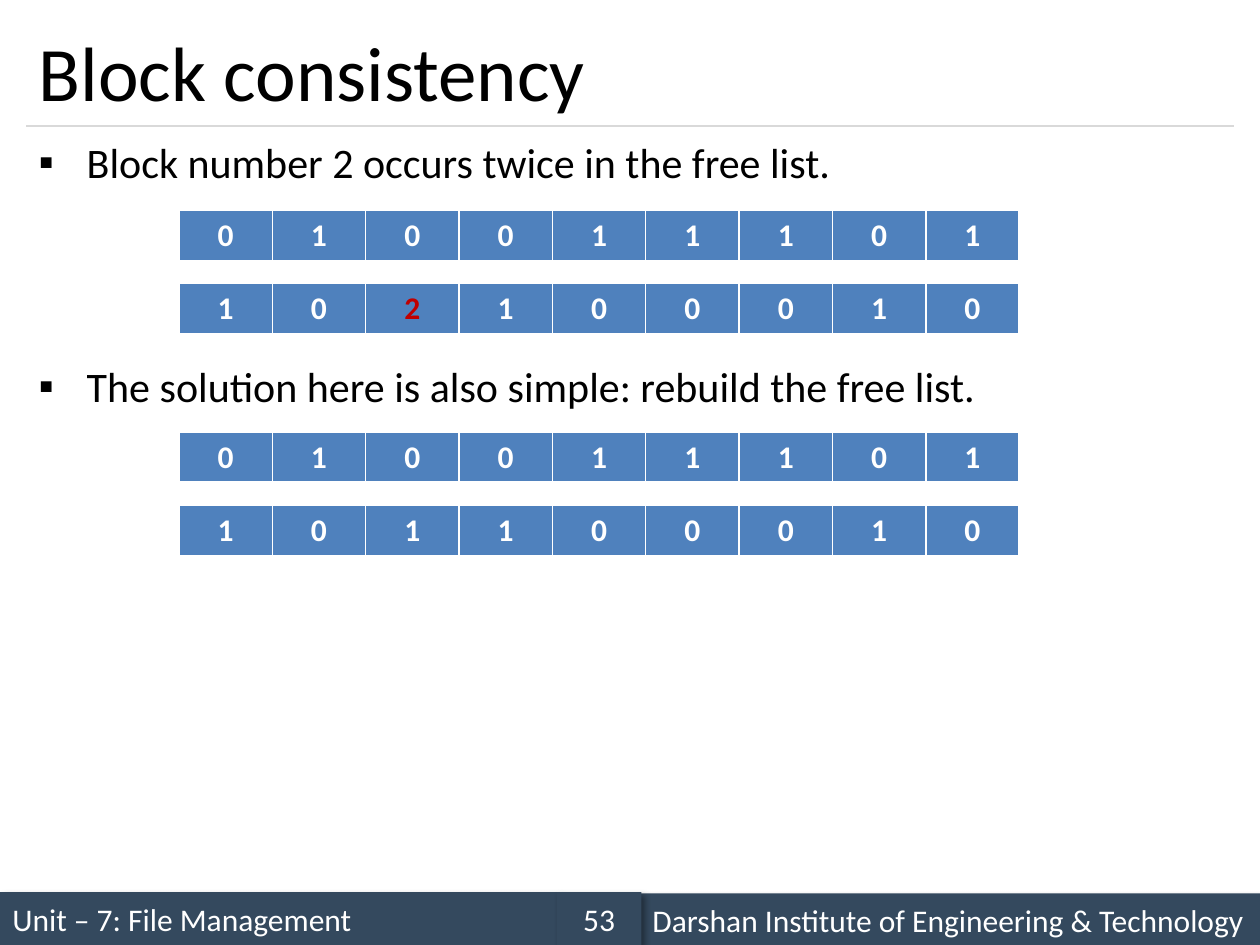
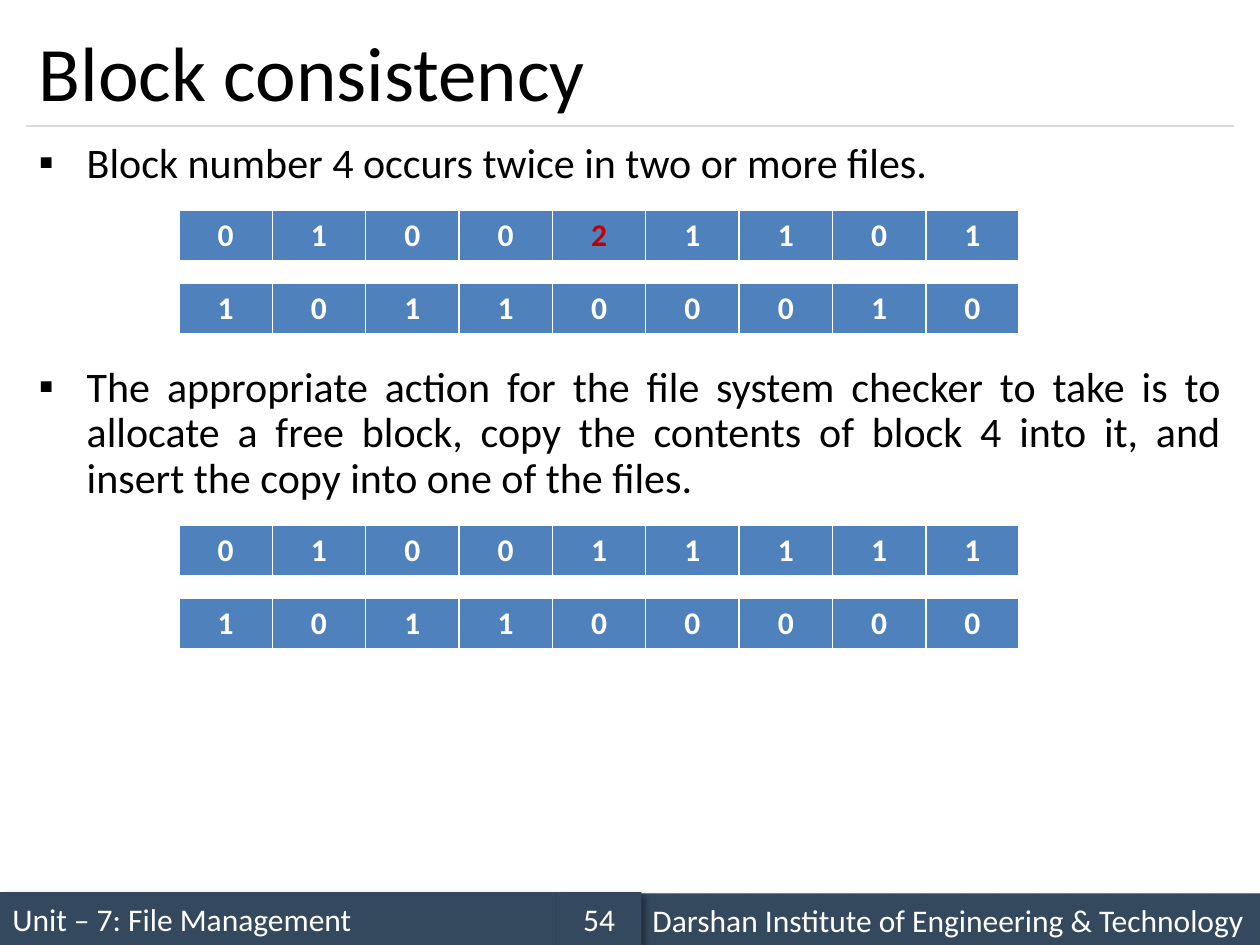
from dataclasses import dataclass

from lxml import etree
from pptx import Presentation
from pptx import util as u
from pptx.dml.color import RGBColor
from pptx.enum import shapes, text
from pptx.oxml import ns

COLORS = {
    "band": "34495E",
    "rule": "D9D9D9",
    "cell": "4F81BD",
    "white": "FFFFFF",
    "black": "000000",
    "error": "C00000",
}
FONT = "Calibri"
TITLE = "Block consistency"
MARGIN, CONTENT_WIDTH = 0.21, 9.58
TABLE_LEFT, TABLE_WIDTH, ROW_HEIGHT, TABLE_PITCH = 1.42, 6.67, 0.41, 0.58
BULLET_INDENT = u.Inches(0.38)


@dataclass
class FooterPart:
    left: float
    top: float
    width: float
    label: str
    align: text.PP_ALIGN = text.PP_ALIGN.LEFT


@dataclass
class BlockTables:
    """Two one-row tables: blocks in use above free blocks."""
    top: float
    in_use: str
    free: str


@dataclass
class ConsistencySlide:
    number: int
    bullets: tuple[str, str]
    tables: tuple[BlockTables, BlockTables]


SLIDES = [
    ConsistencySlide(
        53,
        ("Block number 2 occurs twice in the free list.",
         "The solution here is also simple: rebuild the free list."),
        (BlockTables(1.67, "010011101", "102100010"),
         BlockTables(3.43, "010011101", "101100010")),
    ),
    ConsistencySlide(
        54,
        ("Block number 4 occurs twice in two or more files.",
         "The appropriate action for the file system checker to take is to "
         "allocate a free block, copy the contents of block 4 into it, and "
         "insert the copy into one of the files."),
        (BlockTables(1.67, "010021101", "101100010"),
         BlockTables(4.17, "010011111", "101100000")),
    ),
]


def color(name: str) -> RGBColor:
    return RGBColor.from_string(COLORS[name])


def add_element(parent, tag: str, **attributes):
    element = etree.SubElement(parent, ns.qn(tag))
    for name, value in attributes.items():
        element.set(name, str(value))
    return element


def style_runs(paragraph, size: int, color_name: str, bold: bool = False) -> None:
    for run in paragraph.runs:
        run.font.name = FONT
        run.font.size = u.Pt(size)
        run.font.bold = bold
        run.font.color.rgb = color(color_name)


def add_text_box(slide, top: float, height: float):
    box = slide.shapes.add_textbox(u.Inches(MARGIN), u.Inches(top),
                                   u.Inches(CONTENT_WIDTH), u.Inches(height))
    box.text_frame.word_wrap = True
    return box.text_frame


# Footer band, title and rule
def add_shadow(shape) -> None:
    shape.shadow.inherit = False
    effects = shape._element.spPr.find(ns.qn("a:effectLst"))
    shadow = add_element(effects, "a:outerShdw", blurRad=u.Pt(4), dist=u.Pt(3),
                         dir=45 * 60000, algn="tl", rotWithShape=0)
    tint = add_element(shadow, "a:srgbClr", val=COLORS["black"])
    add_element(tint, "a:alpha", val=40000)


def add_footer_part(slide, part: FooterPart) -> None:
    shape = slide.shapes.add_shape(
        shapes.MSO_SHAPE.RECTANGLE, u.Inches(part.left), u.Inches(part.top),
        u.Inches(part.width), u.Inches(0.42))
    shape.fill.solid()
    shape.fill.fore_color.rgb = color("band")
    shape.line.fill.background()
    add_shadow(shape)
    frame = shape.text_frame
    frame.word_wrap = True
    frame.vertical_anchor = text.MSO_ANCHOR.MIDDLE
    frame.text = part.label
    frame.paragraphs[0].alignment = part.align
    style_runs(frame.paragraphs[0], 18, "white")


def add_rule(slide) -> None:
    rule = slide.shapes.add_connector(
        shapes.MSO_CONNECTOR.STRAIGHT, u.Inches(MARGIN), u.Inches(1),
        u.Inches(MARGIN + CONTENT_WIDTH), u.Inches(1))
    rule.line.color.rgb = color("rule")
    rule.line.width = u.Pt(0.75)
    add_element(rule._element.spPr, "a:effectLst")


def add_frame(slide, number: int) -> None:
    add_footer_part(slide, FooterPart(0, 7.08, 4.42, "Unit – 7: File Management"))
    add_rule(slide)
    add_footer_part(slide, FooterPart(
        5.08, 7.09, 4.92, "Darshan Institute of Engineering & Technology"))
    add_footer_part(slide, FooterPart(
        4.42, 7.08, 0.67, str(number), text.PP_ALIGN.CENTER))
    frame = add_text_box(slide, 0.12, 0.88)
    frame.vertical_anchor = text.MSO_ANCHOR.MIDDLE
    frame.text = TITLE
    style_runs(frame.paragraphs[0], 44, "black")


# Bullets
def add_bullets(slide, bullets: tuple[str, str]) -> None:
    frame = add_text_box(slide, 1.08, 5.83)
    frame.text = "\n".join(bullets)
    for index, paragraph in enumerate(frame.paragraphs):
        paragraph.alignment = text.PP_ALIGN.JUSTIFY
        paragraph.line_spacing = 0.9
        # Later bullets leave room for the tables above them
        paragraph.space_before = u.Pt(102 if index else 0)
        properties = paragraph._p.get_or_add_pPr()
        properties.set("marL", str(BULLET_INDENT))
        properties.set("indent", str(-BULLET_INDENT))
        add_element(properties, "a:buFont", typeface="Wingdings")
        properties[-1].set("typeface", FONT)
        add_element(properties, "a:buChar", char="▪")
        style_runs(paragraph, 24, "black")


# Block tables
def add_cell_borders(cell) -> None:
    properties = cell._tc.get_or_add_tcPr()
    for tag, width in (("a:lnL", 1), ("a:lnR", 1), ("a:lnT", 1), ("a:lnB", 3)):
        line = add_element(properties, tag, w=u.Pt(width))
        fill = add_element(line, "a:solidFill")
        add_element(fill, "a:srgbClr", val=COLORS["white"])


def add_block_table(slide, top: float, counts: str) -> None:
    table = slide.shapes.add_table(
        1, len(counts), u.Inches(TABLE_LEFT), u.Inches(top),
        u.Inches(TABLE_WIDTH), u.Inches(ROW_HEIGHT)).table
    table.horz_banding = False
    for cell, count in zip(table.rows[0].cells, counts):
        add_cell_borders(cell)
        cell.fill.solid()
        cell.fill.fore_color.rgb = color("cell")
        cell.text_frame.text = count
        paragraph = cell.text_frame.paragraphs[0]
        paragraph.alignment = text.PP_ALIGN.CENTER
        style_runs(paragraph, 18, "error" if count == "2" else "white", bold=True)


def main() -> None:
    presentation = Presentation()
    presentation.slide_width = u.Inches(10)
    presentation.slide_height = u.Inches(7.5)
    for content in SLIDES:
        slide = presentation.slides.add_slide(presentation.slide_layouts[6])
        add_frame(slide, content.number)
        add_bullets(slide, content.bullets)
        for tables in content.tables:
            add_block_table(slide, tables.top, tables.in_use)
            add_block_table(slide, tables.top + TABLE_PITCH, tables.free)
    presentation.save("out.pptx")


if __name__ == "__main__":
    main()
